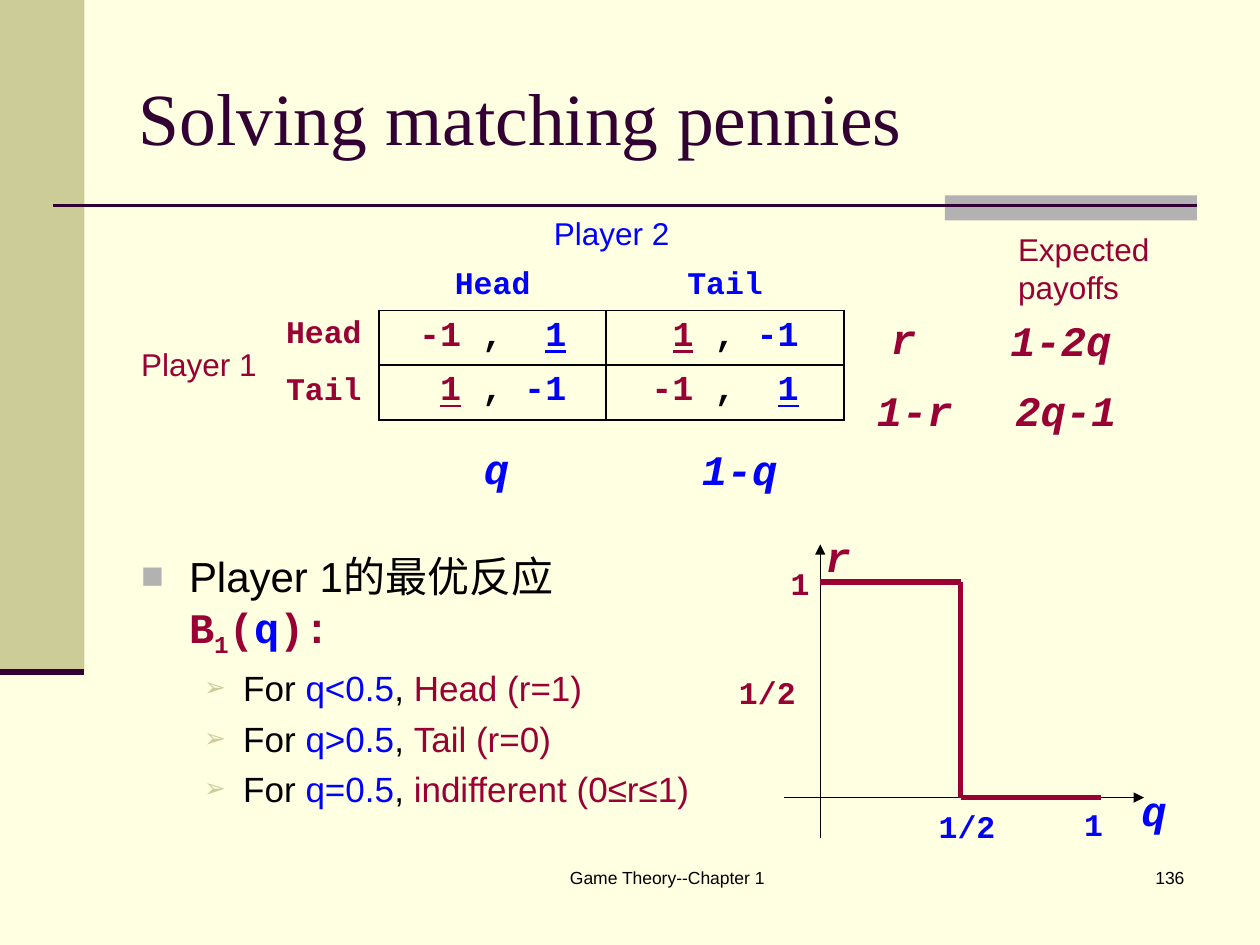
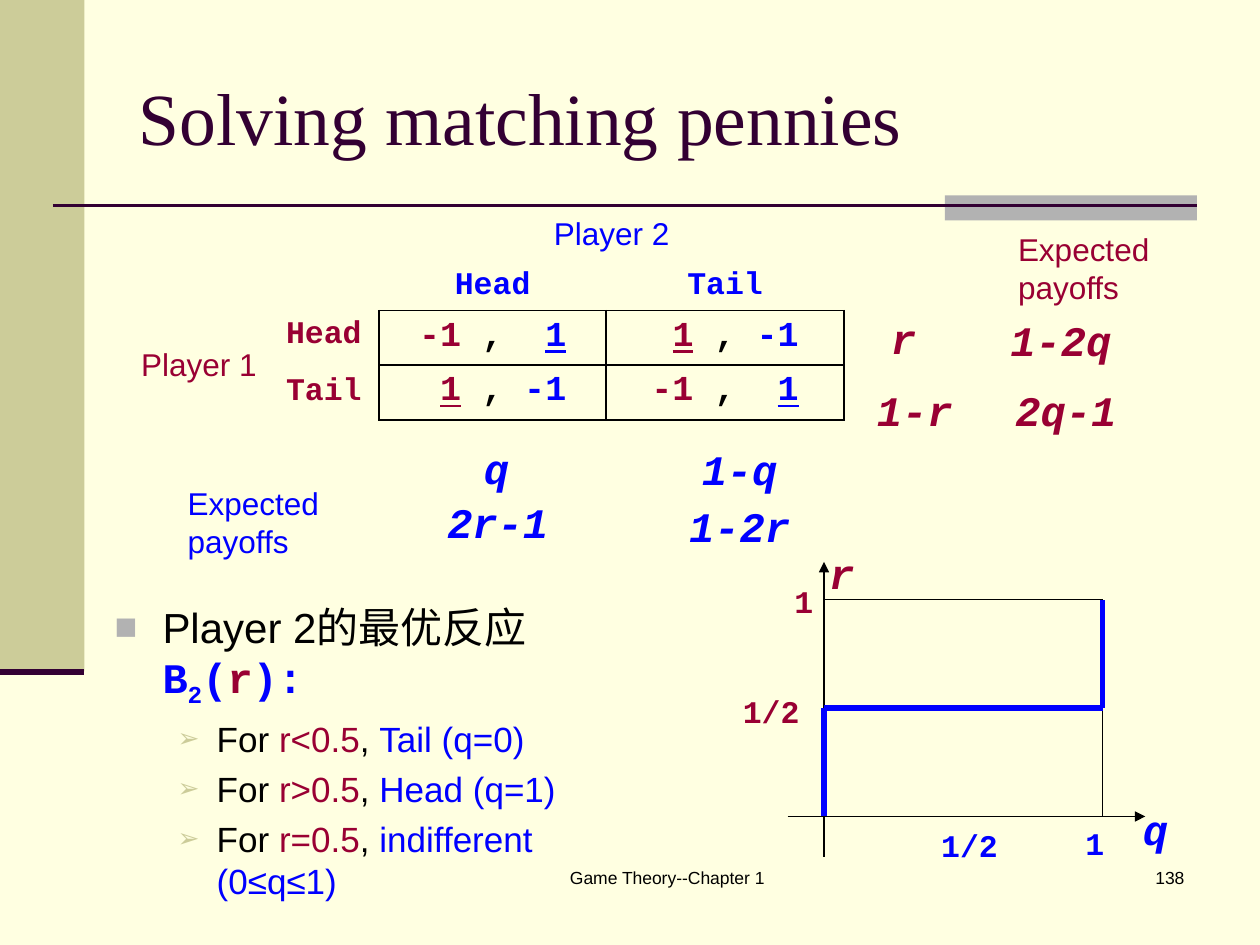
import pptx
import pptx.dml.color
import pptx.enum.shapes
import pptx.enum.text
import pptx.oxml
import pptx.oxml.ns
import pptx.util
import lxml.etree

COLORS = {
    "paper": "FFFFE1", "band": "CCCC99", "tab": "B2B2B2", "title": "330033",
    "text": "000000", "p1": "990033", "p2": "0000FF",
}
GRID_COLS, GRID_ROWS = 100, 75
SANS, MONO, SERIF = "Arial", "Courier New", "Times New Roman"
NO_STYLE = "{2D5ABB26-0587-4C30-8999-92F81FD0307C}"
ALIGN = pptx.enum.text.PP_ALIGN
ANCHOR = pptx.enum.text.MSO_ANCHOR
TICK = {"name": MONO, "size": 18, "bold": True}
SYMBOL = {"name": MONO, "size": 24, "bold": True, "italic": True}
PLAIN = {"name": SANS, "size": 18}

prs = pptx.Presentation()
prs.slide_width = pptx.util.Inches(10)
prs.slide_height = pptx.util.Inches(7.5)


def rgb(key):
    return pptx.dml.color.RGBColor.from_string(COLORS[key])


def col(n):
    return round(n * prs.slide_width / GRID_COLS)


def row(n):
    return round(n * prs.slide_height / GRID_ROWS)


def frame(box):
    x, y, w, h = box
    return col(x), row(y), col(w), row(h)


def sub(parent, tag, **attrs):
    el = lxml.etree.SubElement(parent, pptx.oxml.ns.qn(tag))
    for key, value in attrs.items():
        el.set(key, value)
    return el


def add_run(p, text, color, fmt):
    r = p.add_run()
    r.text = text
    r.font.color.rgb = rgb(color)
    for key, value in fmt.items():
        setattr(r.font, key, pptx.util.Pt(value) if key == "size" else value)
    return r


def label(s, text, box, color, fmt, align=ALIGN.CENTER):
    tf = s.shapes.add_textbox(*frame(box)).text_frame
    tf.word_wrap = True
    tf.margin_left = tf.margin_right = 0
    p = tf.paragraphs[0]
    p.alignment = align
    add_run(p, text, color, fmt)


def centred(s, text, center, top, color, fmt):
    label(s, text, (center - 5, top, 10, 5), color, fmt)


def rect(s, box, color):
    sp = s.shapes.add_shape(pptx.enum.shapes.MSO_SHAPE.RECTANGLE, *frame(box))
    sp.shadow.inherit = False
    sp.fill.solid()
    sp.fill.fore_color.rgb = rgb(color)
    sp.line.fill.background()


def line(s, start, end, color, width, arrow=False):
    cn = s.shapes.add_connector(
        pptx.enum.shapes.MSO_CONNECTOR.STRAIGHT,
        col(start[0]), row(start[1]), col(end[0]), row(end[1]))
    cn.line.color.rgb = rgb(color)
    cn.line.width = pptx.util.Pt(width)
    spPr = cn._element.spPr
    if arrow:
        sub(spPr.find(pptx.oxml.ns.qn("a:ln")), "a:tailEnd", type="triangle")
    sub(spPr, "a:effectLst")


def base_slide(number):
    s = prs.slides.add_slide(prs.slide_layouts[1])
    s.background.fill.solid()
    s.background.fill.fore_color.rgb = rgb("paper")
    rect(s, (0, 0, 6.7, 53.3), "band")
    rect(s, (75, 15.5, 20, 2), "tab")
    line(s, (4.2, 16.3), (95, 16.3), "title", 1.5)
    line(s, (0, 53.3), (6.7, 53.3), "title", 3.5)
    title = s.shapes.title
    title.left, title.top, title.width, title.height = frame((10, 3, 85, 12.5))
    tf = title.text_frame
    tf.vertical_anchor = ANCHOR.MIDDLE
    p = tf.paragraphs[0]
    p.alignment = ALIGN.LEFT
    add_run(p, "Solving matching pennies", "title", {"name": SERIF, "size": 42})
    small = {"name": SANS, "size": 10}
    label(s, "Game Theory--Chapter 1", (36.7, 68.3, 32.5, 5), "text", small)
    label(s, number, (74.2, 68.3, 19.8, 5), "text", small, ALIGN.RIGHT)
    return s


def bullet(p, char, color, size, left, hang):
    pPr = p._p.get_or_add_pPr()
    pPr.set("marL", str(pptx.util.Inches(left)))
    pPr.set("indent", str(-pptx.util.Inches(hang)))
    sub(sub(pPr, "a:buClr"), "a:srgbClr", val=COLORS[color])
    sub(pPr, "a:buSzPct", val=str(size * 1000))
    sub(pPr, "a:buChar", char=char)


def best_response(s, box, player, variable, me, other, cases):
    body = s.placeholders[1]
    body.left, body.top, body.width, body.height = frame(box)
    tf = body.text_frame
    tf.auto_size = pptx.enum.text.MSO_AUTO_SIZE.NONE
    p = tf.paragraphs[0]
    bullet(p, "■", "tab", 90, 0.38, 0.38)
    p.space_before = pptx.util.Pt(0)
    add_run(p, f"Player {player}的最优反应", "text", {"name": SANS, "size": 24})
    p.add_line_break()
    strong = {"name": MONO, "size": 24, "bold": True}
    add_run(p, "B", me, strong)
    index = add_run(p, player, me, strong)
    index.font._element.set("baseline", "-25000")
    for text, color in (("(", me), (variable, other), ("):", me)):
        add_run(p, text, color, strong)
    for condition, choice in cases:
        p = tf.add_paragraph()
        p.level = 1
        bullet(p, "➢", "band", 75, 0.81, 0.31)
        p.space_before = pptx.util.Pt(4.8)
        parts = (("For ", "text"), (condition, other), (", ", "text"), (choice, me))
        for text, color in parts:
            add_run(p, text, color, {"name": SANS, "size": 20})


def payoff_runs(first, second):
    strong = {"name": MONO, "size": 20, "bold": True}
    runs = []
    for value, color in ((first, "p1"), (second, "p2")):
        best = value > 0
        if best:
            runs.append((" ", color, strong))
        runs.append((str(value), color, {**strong, "underline": best}))
        if color == "p1":
            runs.append((" , ", "text", strong))
    return runs


def border(cell):
    tcPr = cell._tc.get_or_add_tcPr()
    for i, side in enumerate("LRTB"):
        ln = sub(tcPr, f"a:ln{side}", w=str(pptx.util.Pt(1)))
        sub(sub(ln, "a:solidFill"), "a:srgbClr", val=COLORS["text"])
        tcPr.insert(i, ln)


def payoff_table(s, box):
    tbl = s.shapes.add_table(4, 4, *frame(box)).table
    tbl._tbl.tblPr.find(pptx.oxml.ns.qn("a:tableStyleId")).text = NO_STYLE
    tbl.first_row = tbl.horz_banding = False
    for column, width in zip(tbl.columns, (11.5, 8.4, 18, 18.9)):
        column.width = col(width)
    for r in tbl.rows:
        r.height = row(box[3] / 4)
    for cell in tbl.iter_cells():
        cell.fill.background()
    tbl.cell(0, 2).merge(tbl.cell(0, 3))
    tbl.cell(2, 0).merge(tbl.cell(3, 0))
    center, left = ALIGN.CENTER, ALIGN.LEFT
    cells = {
        (0, 2): ([("Player 2", "p2", PLAIN)], center, ANCHOR.BOTTOM),
        (1, 2): ([("Head", "p2", TICK)], center, ANCHOR.BOTTOM),
        (1, 3): ([("Tail", "p2", TICK)], center, ANCHOR.BOTTOM),
        (2, 0): ([("Player 1", "p1", PLAIN)], left, ANCHOR.MIDDLE),
        (2, 1): ([("Head", "p1", TICK)], left, ANCHOR.TOP),
        (3, 1): ([("Tail", "p1", TICK)], left, ANCHOR.MIDDLE),
    }
    for i in (2, 3):
        for j in (2, 3):
            first = -1 if i == j else 1
            cells[i, j] = (payoff_runs(first, -first), center, ANCHOR.TOP)
            border(tbl.cell(i, j))
    for (i, j), (runs, align, anchor) in cells.items():
        cell = tbl.cell(i, j)
        cell.vertical_anchor = anchor
        p = cell.text_frame.paragraphs[0]
        p.alignment = align
        for run in runs:
            add_run(p, *run)


def game_matrix(s, box, column_payoffs=False):
    x, y = box[:2]
    payoff_table(s, box)
    symbols = [
        ("q", 29.2, 18.2, "p2"), ("1-q", 48.5, 18.3, "p2"),
        ("r", 61.5, 7.9, "p1"), ("1-r", 62.4, 13.6, "p1"),
        ("1-2q", 74, 8.1, "p1"), ("2q-1", 74.4, 13.6, "p1"),
    ]
    captions = [(70.6, 1.4, "p1")]
    if column_payoffs:
        symbols += [("2r-1", 29.3, 22.5, "p2"), ("1-2r", 48.5, 22.8, "p2")]
        captions.append((4.7, 21.5, "p2"))
    for text, dx, dy, color in symbols:
        centred(s, text, x + dx, y + dy, color, SYMBOL)
    for dx, dy, color in captions:
        label(s, "Expected payoffs", (x + dx, y + dy, 12.4, 7), color, PLAIN, ALIGN.LEFT)


def response_plot(s, box, curve, color, guides=()):
    x, y, w, h = box

    def polyline(points, color, width):
        spots = [(x + q * w, y + (1 - r) * h) for q, r in points]
        for start, end in zip(spots, spots[1:]):
            line(s, start, end, color, width)

    polyline(guides, "text", 0.75)
    line(s, (x - 2.9, y + h), (x + w + 3.4, y + h), "text", 0.75, arrow=True)
    line(s, (x, y + h + 3.2), (x, y - 3), "text", 0.75, arrow=True)
    polyline(curve, color, 3)
    for text, dx, dy, tint, fmt in (
            ("1", w - 0.6, h + 0.1, "p2", TICK),
            ("1/2", w / 2 + 0.5, h + 0.3, "p2", TICK),
            ("q", w + 4.2, h - 1.5, "p2", SYMBOL),
            ("r", 1.4, -4.6, "p1", SYMBOL),
            ("1", -1.6, -1.9, "p1", TICK),
            ("1/2", -4.2, h / 2 - 1.8, "p1", TICK)):
        centred(s, text, x + dx, y + dy, tint, fmt)


def main():
    matrix = (10.2, 16.4, 56.8, 16.5)

    s = base_slide("136")
    best_response(s, (10.2, 43.2, 46.4, 21.3), "1", "q", "p1", "p2", [
        ("q<0.5", "Head (r=1)"), ("q>0.5", "Tail (r=0)"),
        ("q=0.5", "indifferent (0≤r≤1)")])
    game_matrix(s, matrix)
    response_plot(s, (65.1, 46.2, 22.3, 17.1),
                  [(0, 1), (0.5, 1), (0.5, 0), (1, 0)], "p1")

    s = base_slide("138")
    best_response(s, (8.1, 47.2, 45.5, 21.3), "2", "r", "p2", "p1", [
        ("r<0.5", "Tail (q=0)"), ("r>0.5", "Head (q=1)"),
        ("r=0.5", "indifferent (0≤q≤1)")])
    game_matrix(s, matrix, column_payoffs=True)
    response_plot(s, (65.4, 47.6, 22.1, 17.2),
                  [(0, 0), (0, 0.5), (1, 0.5), (1, 1)], "p2",
                  guides=[(0, 1), (1, 1), (1, 0)])

    prs.save("out.pptx")


if __name__ == "__main__":
    main()
